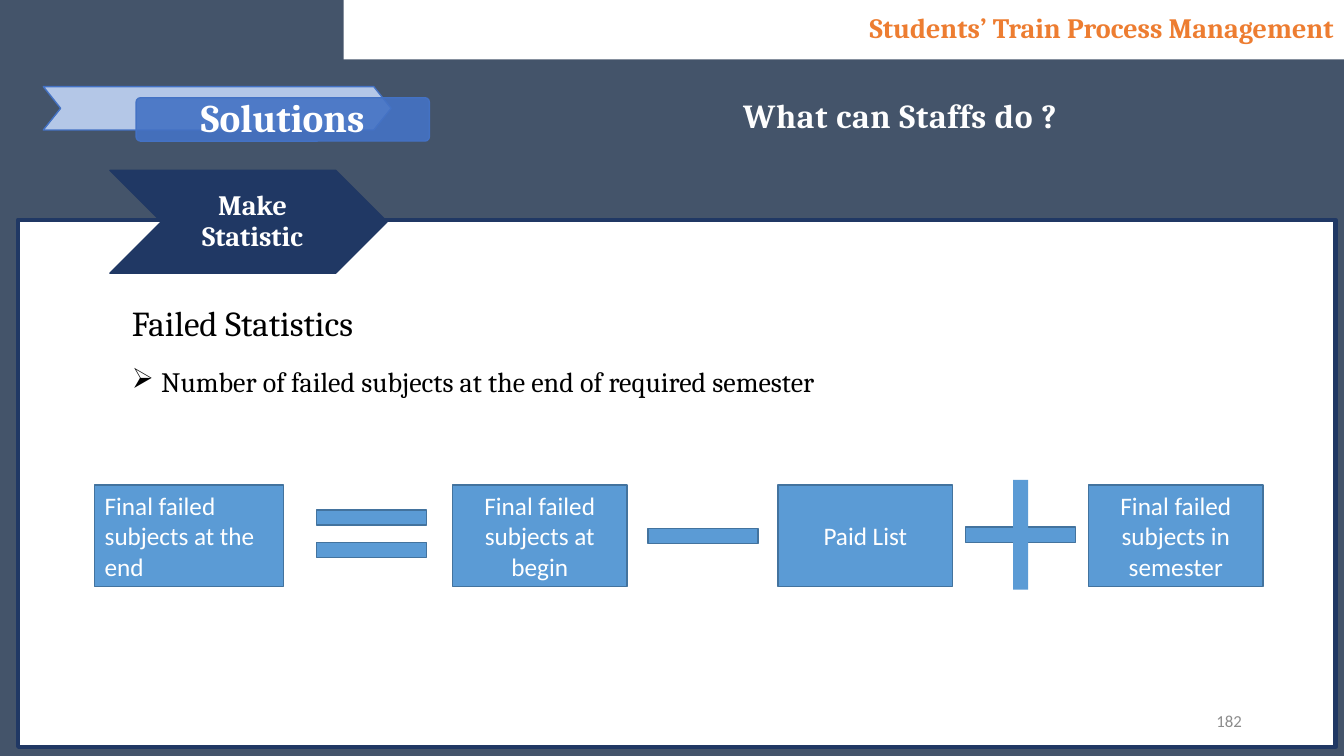
from dataclasses import dataclass

from lxml.etree import SubElement
from pptx import Presentation
from pptx.dml.color import RGBColor
from pptx.enum.shapes import MSO_SHAPE as Shape
from pptx.enum.text import MSO_ANCHOR as Anchor, MSO_AUTO_SIZE as AutoSize, PP_ALIGN as Align
from pptx.oxml import parse_xml
from pptx.oxml.ns import nsdecls, qn
from pptx.util import Inches, Pt

CELLS_PER_INCH = 10  # grid cells are a tenth of an inch square
COLS, ROWS = 133.33, 75


@dataclass(frozen=True)
class Theme:
    slate: str = "44546A"
    navy: str = "203864"
    blue: str = "4472C4"
    pale: str = "B4C7E7"
    sky: str = "5B9BD5"
    sky_edge: str = "43739E"
    orange: str = "ED7D31"
    white: str = "FFFFFF"
    soft_white: str = "FEFEFE"
    black: str = "000000"
    grey: str = "8C8C8C"
    head: str = "Cambria"
    body: str = "Calibri"
    banner: int = 28
    subject: int = 25
    question: int = 24
    title: int = 20
    term: int = 18
    number: int = 12


T = Theme()


def cells(*counts):
    return [Inches(n / CELLS_PER_INCH) for n in counts]


def rgb(color):
    return RGBColor.from_string(color)


def add_box(slide, at, fill, line=None, weight=1, kind=Shape.RECTANGLE,
            adj=None, alpha=None, rotation=0):
    """Draw a filled preset shape at (column, row, columns, rows)."""
    sp = slide.shapes.add_shape(kind, *cells(*at))
    sp.shadow.inherit = False
    sp.rotation = rotation
    sp.fill.solid()
    sp.fill.fore_color.rgb = rgb(fill)
    if alpha is not None:
        color = sp.fill._xPr.find(qn("a:solidFill"))[0]
        SubElement(color, qn("a:alpha"), val=str(alpha * 1000))
    if line:
        sp.line.color.rgb = rgb(line)
        sp.line.width = Pt(weight)
    else:
        sp.line.fill.background()
    if adj is not None:
        sp.adjustments[0] = adj
    return sp


def add_text_box(slide, at):
    return slide.shapes.add_textbox(*cells(*at))


def write(sp, text, size, color, font=T.head, bold=False, align=Align.LEFT,
          anchor=Anchor.MIDDLE, insets=(1, 0.5, 1, 0.5), leading=None, wrap=True,
          grow=False, bullet=None, outline=None, tracking=None):
    """Write one formatted paragraph; insets are grid cells, outline is (color, points)."""
    tf = sp.text_frame
    tf.word_wrap = wrap
    tf.vertical_anchor = anchor
    tf.auto_size = AutoSize.SHAPE_TO_FIT_TEXT if grow else AutoSize.NONE
    tf.margin_left, tf.margin_top, tf.margin_right, tf.margin_bottom = cells(*insets)
    p = tf.paragraphs[0]
    p.alignment = align
    if leading:
        p.line_spacing = leading
    if bullet:
        hang = Inches(0.29)
        pPr = p._p.get_or_add_pPr()
        pPr.set("marL", str(hang))
        pPr.set("indent", str(-hang))
        SubElement(pPr, qn("a:buChar"), char=bullet)
    r = p.add_run()
    r.text = text
    r.font.name = font
    r.font.size = Pt(size)
    r.font.bold = bold
    r.font.color.rgb = rgb(color)
    rPr = r.font._element
    if tracking:
        rPr.set("spc", str(int(tracking * 100)))
    if outline:
        edge, weight = outline
        rPr.insert(0, parse_xml(
            f'<a:ln {nsdecls("a")} w="{Pt(weight)}"><a:solidFill>'
            f'<a:srgbClr val="{edge}"/></a:solidFill></a:ln>'))


def add_header(slide):
    sp = add_box(slide, (34.1, 0, COLS - 34.1, 5.9), T.white)
    write(sp, "Students’ Train Process Management", T.title, T.orange, bold=True,
          align=Align.RIGHT, leading=0.9, outline=(T.orange, 0.52))

    # Section banner
    add_box(slide, (4.3, 8.6, 34.5, 4.3), T.pale, T.blue, kind=Shape.CHEVRON, adj=0.4)
    sp = add_box(slide, (13.5, 9.7, 29.1, 4.3), T.blue, T.blue,
                 kind=Shape.ROUNDED_RECTANGLE, adj=0.1, alpha=90)
    write(sp, "Solutions", T.banner, T.white, bold=True, align=Align.CENTER,
          leading=0.9, insets=(2.2,) * 4)

    # Question
    write(add_text_box(slide, (72.3, 8.9, 34, 5)), "What can Staffs do ?", T.question,
          T.soft_white, bold=True, align=Align.CENTER, anchor=Anchor.TOP, wrap=False,
          grow=True, tracking=0.5, outline=(T.sky, 0.75))


def add_topic(slide):
    write(add_text_box(slide, (12.1, 29.4, 41.9, 5.2)), "Failed Statistics",
          T.subject, T.black, anchor=Anchor.TOP, grow=True)
    write(add_text_box(slide, (12.1, 35.7, 117, 4.4)),
          "Number of failed subjects at the end of required semester",
          T.title, T.black, anchor=Anchor.TOP, grow=True, bullet="➢")


def add_equation(slide):
    top, height = 48.1, 10.1
    middle = top + height / 2

    # Terms: column, width, alignment, text
    terms = [
        (9.4, 18.7, Align.LEFT, "Final failed subjects at the end"),
        (44.9, 17.3, Align.CENTER, "Final failed subjects at begin"),
        (77.2, 17.3, Align.CENTER, "Paid List"),
        (108, 17.3, Align.CENTER, "Final failed subjects in semester"),
    ]
    for col, width, align, text in terms:
        sp = add_box(slide, (col, top, width, height), T.sky, T.sky_edge)
        write(sp, text, T.term, T.white, font=T.body, align=align)

    # Operators: column, rows off the middle, rotation, edge
    length, thick = 10.9, 1.5
    bars = [
        (31.4, -1.8, 0, T.sky_edge),  # equals
        (31.4, 1.4, 0, T.sky_edge),
        (64.3, 0, 0, T.sky_edge),     # minus
        (95.8, -0.1, 0, T.sky_edge),  # plus
        (95.8, -0.1, 90, None),
    ]
    for col, shift, turn, edge in bars:
        at = (col, middle + shift - thick / 2, length, thick)
        add_box(slide, at, T.sky, edge, rotation=turn)


def add_tab(slide):
    top, height = 16.9, 10.2
    add_box(slide, (10.9, top, 27.5, height), T.navy, T.navy, kind=Shape.CHEVRON)
    sp = add_box(slide, (16.4, top, 16.5, height), T.navy, T.navy, weight=0.75)
    write(sp, "Make Statistic", T.title, T.white, bold=True, align=Align.CENTER,
          leading=0.9, insets=(1.2, 0.4, 0.4, 0.4))


def main():
    prs = Presentation()
    prs.slide_width, prs.slide_height = cells(COLS, ROWS)
    slide = prs.slides.add_slide(prs.slide_layouts[6])
    slide.background.fill.solid()
    slide.background.fill.fore_color.rgb = rgb(T.slate)

    # Content panel
    add_box(slide, (1.8, 21.8, 130.7, 52.3), T.white, T.navy, weight=3)
    add_header(slide)
    add_topic(slide)
    add_equation(slide)
    add_tab(slide)

    # Page number
    write(add_text_box(slide, (94.2, 69.5, 30, 4)), "182", T.number, T.grey,
          font=T.body, align=Align.RIGHT)
    prs.save("out.pptx")


if __name__ == "__main__":
    main()
